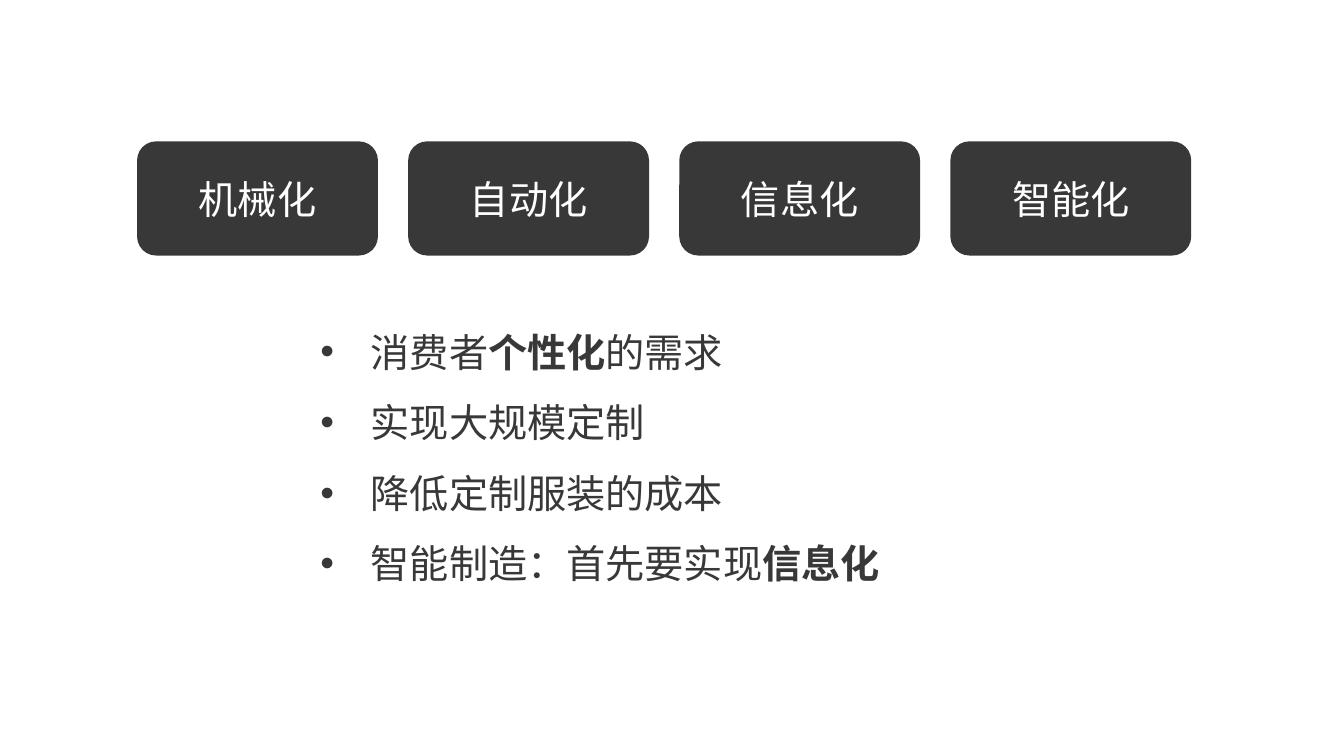
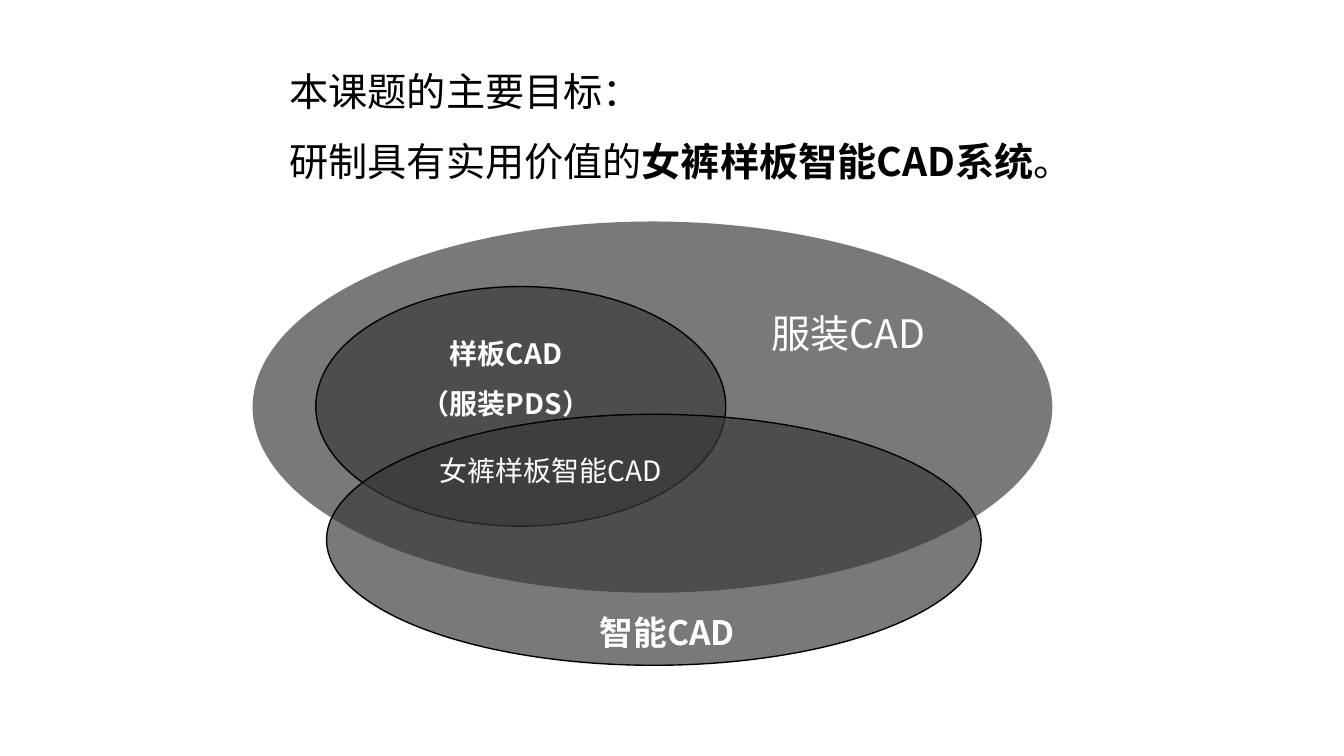
"""Build two slides on intelligent garment manufacturing and the goal of the project."""
from dataclasses import dataclass
from typing import Any

import pptx
import pptx.dml.color
import pptx.enum.shapes
import pptx.enum.text
import pptx.oxml
import pptx.oxml.ns
import pptx.util

COLORS = {"ink": "383838", "white": "FFFFFF", "black": "000000"}
FONT = "Noto Sans CJK SC"
SLIDE_WIDTH = pptx.util.Inches(13.333)
SLIDE_HEIGHT = pptx.util.Inches(7.5)
OPACITY = 67
SPACING = 1.5
BULLET_INDENT = pptx.util.Inches(0.5)
ALIGN = pptx.enum.text.PP_ALIGN
ANCHOR = pptx.enum.text.MSO_ANCHOR
GROW = pptx.enum.text.MSO_AUTO_SIZE.SHAPE_TO_FIT_TEXT
PRESET = pptx.enum.shapes.MSO_SHAPE


@dataclass(frozen=True)
class Area:
    """Place and size in percent of the slide's width and height."""
    left: float
    top: float
    width: float
    height: float

    def lengths(self) -> tuple[int, int, int, int]:
        return (
            round(SLIDE_WIDTH * self.left / 100),
            round(SLIDE_HEIGHT * self.top / 100),
            round(SLIDE_WIDTH * self.width / 100),
            round(SLIDE_HEIGHT * self.height / 100),
        )


@dataclass(frozen=True)
class Phrase:
    """Words in one weight."""
    words: str
    bold: bool = False


@dataclass(frozen=True)
class Copy:
    """Paragraphs of phrases in one style."""
    paragraphs: list[list[Phrase]]
    size: int = 28
    color: str = "white"
    align: Any = ALIGN.CENTER
    spacing: float = SPACING
    bulleted: bool = False


@dataclass(frozen=True)
class Field:
    """A translucent ellipse with its label."""
    area: Area
    label_area: Area
    label: Copy
    outlined: bool = True


STAGES = ["机械化", "自动化", "信息化", "智能化"]
FIRST_STAGE = Area(10.2, 18.7, 17.92, 15.1)
STAGE_GAP = 2.25

NEEDS_AREA = Area(23.1, 39.6, 58.3, 39.1)
NEEDS = Copy(
    [
        [Phrase("消费者"), Phrase("个性化", True), Phrase("的需求")],
        [Phrase("实现大规模定制")],
        [Phrase("降低定制服装的成本")],
        [Phrase("智能制造：首先要实现"), Phrase("信息化", True)],
    ],
    color="ink", align=ALIGN.JUSTIFY, bulleted=True,
)

FIELDS = [
    Field(Area(18.8, 29.3, 59.5, 49.1), Area(53.3, 37.2, 19.7, 11.7),
          Copy([[Phrase("服装CAD")]]), outlined=False),
    Field(Area(23.5, 37.9, 30.5, 31.7), Area(27.2, 41.6, 20.9, 18.3),
          Copy([[Phrase("样板CAD", True)], [Phrase("（服装PDS）", True)]], size=20)),
    Field(Area(24.3, 54.8, 48.7, 33.2), Area(39.2, 77.6, 20.9, 12.4),
          Copy([[Phrase("智能CAD", True)]], size=24)),
]
OVERLAP_AREA = Area(30.5, 57.1, 20.9, 10.4)
OVERLAP = Copy([[Phrase("女裤样板智能CAD")]], size=20)

GOAL_AREA = Area(20.8, 5.1, 66.4, 20.1)
GOAL = Copy(
    [
        [Phrase("本课题的主要目标：")],
        [Phrase("研制具有实用价值的"), Phrase("女裤样板智能CAD系统", True), Phrase("。")],
    ],
    color="black", align=ALIGN.LEFT,
)


def rgb(name: str) -> pptx.dml.color.RGBColor:
    return pptx.dml.color.RGBColor.from_string(COLORS[name])


def apply(target: Any, values: dict[str, Any]) -> None:
    for key, value in values.items():
        setattr(target, key, value)


def add_child(parent: Any, tag: str, **attributes: str) -> None:
    child = pptx.oxml.parse_xml(f"<{tag} {pptx.oxml.ns.nsdecls('a')}/>")
    for key, value in attributes.items():
        child.set(key, value)
    parent.append(child)


def write(frame: Any, copy: Copy) -> None:
    for index, phrases in enumerate(copy.paragraphs):
        paragraph = frame.add_paragraph() if index else frame.paragraphs[0]
        apply(paragraph, {"alignment": copy.align, "line_spacing": copy.spacing})
        if copy.bulleted:
            properties = paragraph._p.get_or_add_pPr()
            properties.set("marL", str(BULLET_INDENT))
            properties.set("indent", str(-BULLET_INDENT))
            add_child(properties, "a:buFont", typeface="Arial")
            add_child(properties, "a:buChar", char="•")
        for phrase in phrases:
            run = paragraph.add_run()
            run.text = phrase.words
            apply(run.font, {"size": pptx.util.Pt(copy.size), "bold": phrase.bold, "name": FONT})
            run.font.color.rgb = rgb(copy.color)
            add_child(run._r.get_or_add_rPr(), "a:ea", typeface=FONT)


def add_text(shapes: Any, area: Area, copy: Copy, grow: bool = False) -> None:
    frame = shapes.add_textbox(*area.lengths()).text_frame
    frame.word_wrap = True
    if grow:
        frame.auto_size = GROW
    write(frame, copy)


def add_panel(shapes: Any, preset: Any, area: Area) -> Any:
    panel = shapes.add_shape(preset, *area.lengths())
    panel.shadow.inherit = False
    panel.fill.solid()
    panel.fill.fore_color.rgb = rgb("ink")
    panel.line.fill.background()
    return panel


def add_stage(shapes: Any, index: int, name: str) -> None:
    first = FIRST_STAGE
    left = first.left + index * (first.width + STAGE_GAP)
    area = Area(left, first.top, first.width, first.height)
    card = add_panel(shapes, PRESET.ROUNDED_RECTANGLE, area)
    card.text_frame.vertical_anchor = ANCHOR.MIDDLE
    write(card.text_frame, Copy([[Phrase(name)]], spacing=1.0))


def add_field(shapes: Any, field: Field) -> None:
    members = shapes.add_group_shape().shapes
    ellipse = add_panel(members, PRESET.OVAL, field.area)
    color = ellipse._element.spPr.find(".//" + pptx.oxml.ns.qn("a:srgbClr"))
    add_child(color, "a:alpha", val=str(OPACITY * 1000))
    if field.outlined:
        ellipse.line.color.rgb = rgb("black")
        ellipse.line.width = pptx.util.Pt(1)
    add_text(members, field.label_area, field.label)


def build_stages(shapes: Any) -> None:
    for index, name in enumerate(STAGES):
        add_stage(shapes, index, name)
    add_text(shapes, NEEDS_AREA, NEEDS, grow=True)


def build_goal(shapes: Any) -> None:
    for field in FIELDS:
        add_field(shapes, field)
    add_text(shapes, OVERLAP_AREA, OVERLAP)
    add_text(shapes, GOAL_AREA, GOAL, grow=True)


def main() -> None:
    deck = pptx.Presentation()
    apply(deck, {"slide_width": SLIDE_WIDTH, "slide_height": SLIDE_HEIGHT})
    for build in (build_stages, build_goal):
        build(deck.slides.add_slide(deck.slide_layouts[6]).shapes)
    deck.save("out.pptx")


if __name__ == "__main__":
    main()
